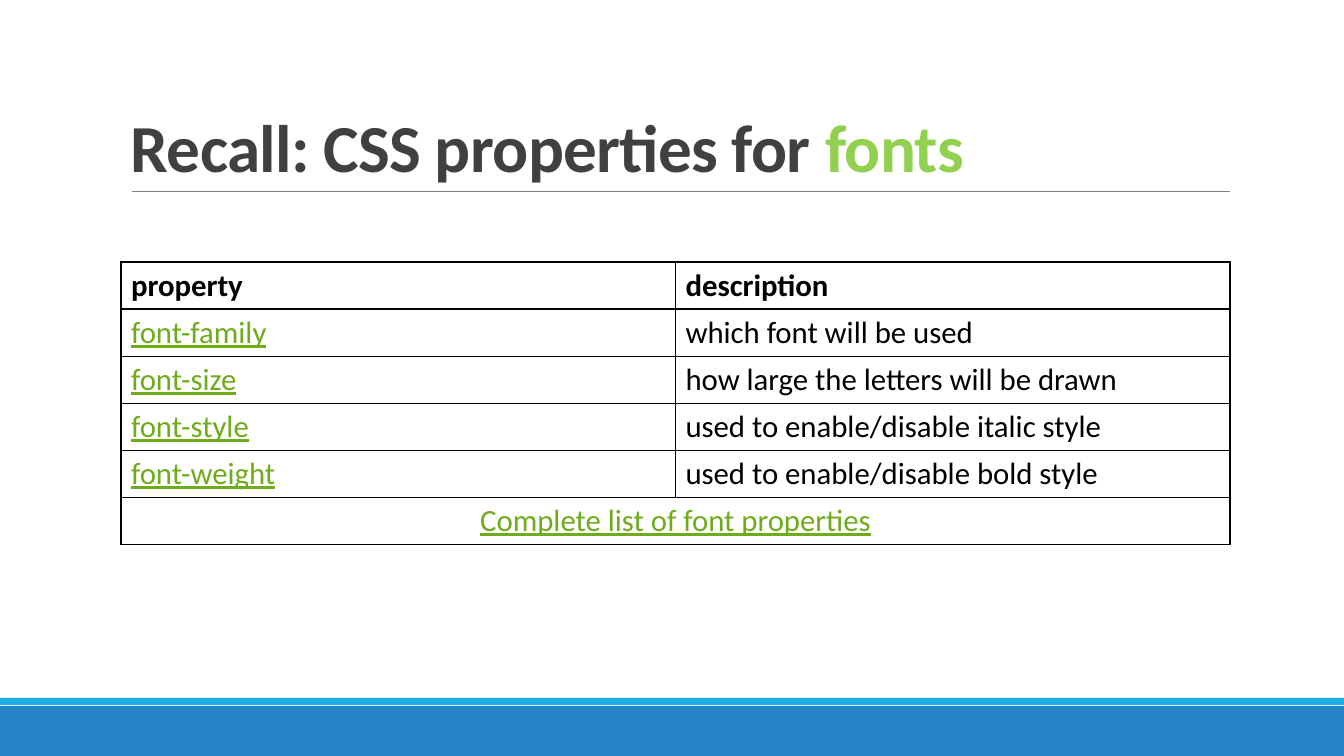
from dataclasses import dataclass

from lxml import etree
from pptx import Presentation
from pptx.dml.color import RGBColor
from pptx.enum.shapes import MSO_CONNECTOR, MSO_SHAPE
from pptx.enum.text import MSO_ANCHOR, PP_ALIGN
from pptx.oxml.ns import qn
from pptx.util import Emu, Pt

STRAIGHT = MSO_CONNECTOR.STRAIGHT
RECTANGLE = MSO_SHAPE.RECTANGLE
MIDDLE, BOTTOM = MSO_ANCHOR.MIDDLE, MSO_ANCHOR.BOTTOM
LEFT, CENTER = PP_ALIGN.LEFT, PP_ALIGN.CENTER

SLIDE_W, SLIDE_H = 1344, 756
EMU_PER_PX = 12192000 / SLIDE_W


@dataclass(frozen=True)
class Theme:
    font: str = "Calibri"
    title_size: int = 48
    table_size: int = 22
    title: str = "404040"
    accent: str = "92D050"
    link: str = "6EAC1C"
    text: str = "000000"
    rule: str = "808080"
    footer: str = "2683C6"
    footer_strip: str = "1CADE4"


THEME = Theme()
HEADERS = ("property", "description")
PROPERTIES = (
    ("font-family", "which font will be used"),
    ("font-size", "how large the letters will be drawn"),
    ("font-style", "used to enable/disable italic style"),
    ("font-weight", "used to enable/disable bold style"),
)
FULL_LIST = "Complete list of font properties"


def px(length):
    return Emu(round(length * EMU_PER_PX))


def rgb(color):
    return RGBColor.from_string(color)


def add_text(paragraph, text, size=THEME.table_size, color=THEME.text,
             bold=False, underline=False, spacing=None, align=LEFT):
    paragraph.alignment = align
    run = paragraph.add_run()
    run.text = text
    font = run.font
    font.name, font.size = THEME.font, Pt(size)
    font.bold, font.underline = bold, underline
    font.color.rgb = rgb(color)
    if spacing is not None:
        run._r.get_or_add_rPr().set("spc", str(round(spacing * 100)))


def add_bar(slide, top, height, color):
    bar = slide.shapes.add_shape(RECTANGLE, 0, px(top), px(SLIDE_W), px(height))
    bar.shadow.inherit = False
    bar.fill.solid()
    bar.fill.fore_color.rgb = rgb(color)
    bar.line.fill.background()


def add_rule(slide, left, right, y):
    rule = slide.shapes.add_connector(STRAIGHT, px(left), px(y), px(right), px(y))
    rule.line.color.rgb = rgb(THEME.rule)
    rule.line.width = Pt(0.5)
    etree.SubElement(rule._element.spPr, qn("a:effectLst"))


def add_title(slide, left, top, width, height):
    box = slide.shapes.add_textbox(px(left), px(top), px(width), px(height))
    frame = box.text_frame
    frame.word_wrap = True
    frame.vertical_anchor = BOTTOM
    heading = frame.paragraphs[0]
    heading.line_spacing = 0.85
    style = dict(size=THEME.title_size, bold=True, spacing=-0.5)
    add_text(heading, "Recall: CSS properties for ", color=THEME.title, **style)
    add_text(heading, "fonts", color=THEME.accent, **style)


def style_cell(cell):
    cell.vertical_anchor = MIDDLE
    properties = cell._tc.get_or_add_tcPr()
    for side in ("a:lnL", "a:lnR", "a:lnT", "a:lnB"):
        border = etree.SubElement(properties, qn(side), w=str(Pt(1)))
        fill = etree.SubElement(border, qn("a:solidFill"))
        etree.SubElement(fill, qn("a:srgbClr"), val=THEME.text)
    cell.fill.background()


def add_property_table(slide, left, top, width, row_height):
    row_count = len(PROPERTIES) + 2
    frame = slide.shapes.add_table(row_count, len(HEADERS), px(left), px(top),
                                   px(width), px(row_height * row_count))
    table = frame.table
    table.first_row = table.horz_banding = False
    for cell in table.iter_cells():
        style_cell(cell)

    # Header row
    for column, header in enumerate(HEADERS):
        add_text(table.cell(0, column).text_frame.paragraphs[0], header, bold=True)

    # One row per font property
    for row, (name, description) in enumerate(PROPERTIES, start=1):
        name_line = table.cell(row, 0).text_frame.paragraphs[0]
        add_text(name_line, name, color=THEME.link, underline=True)
        add_text(name_line, " ")
        add_text(table.cell(row, 1).text_frame.paragraphs[0], description)

    # Closing row across both columns
    closing = table.cell(row_count - 1, 0)
    closing.merge(table.cell(row_count - 1, 1))
    add_text(closing.text_frame.paragraphs[0], FULL_LIST, color=THEME.link,
             underline=True, align=CENTER)


def main():
    deck = Presentation()
    deck.slide_width, deck.slide_height = px(SLIDE_W), px(SLIDE_H)
    slide = deck.slides.add_slide(deck.slide_layouts[6])

    # Footer bars
    add_bar(slide, 706, 50, THEME.footer)
    add_bar(slide, 698, 7, THEME.footer_strip)

    # Title and its rule
    add_rule(slide, 132, 1230, 191)
    add_title(slide, 121, 31, 1109, 160)

    # Font properties
    add_property_table(slide, 121, 262, 1109, 47)

    deck.save("out.pptx")


if __name__ == "__main__":
    main()
